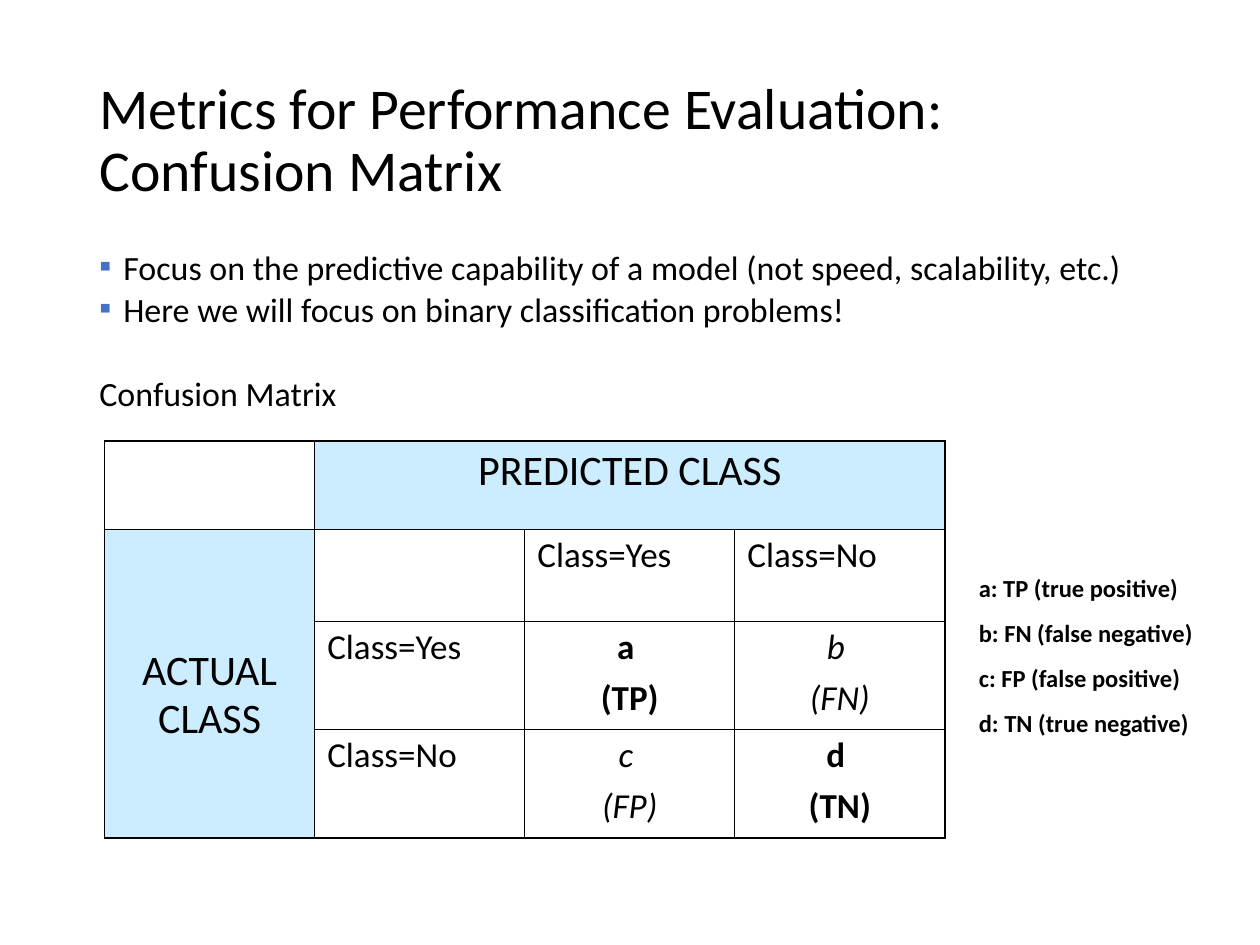
from dataclasses import dataclass

from lxml.etree import SubElement
from pptx import Presentation
from pptx.dml.color import RGBColor
from pptx.enum.text import MSO_ANCHOR, PP_ALIGN
from pptx.oxml.ns import qn
from pptx.util import Inches, Pt


@dataclass(frozen=True)
class Theme:
    font: str = "Calibri"
    text: str = "000000"
    bullet: str = "4472C4"
    header_fill: str = "CCECFF"
    title: float = 33
    body: float = 19.4
    header: float = 24
    cell: float = 20
    legend: float = 14
    thin: float = 0.45
    thick: float = 1.08


class SlideBuilder:
    def __init__(self, slide, theme):
        self.s = slide
        self.theme = theme

    def style(self, p, size, bold=False, italic=False):
        for r in p.runs:
            r.font.name = self.theme.font
            r.font.size = Pt(size)
            r.font.bold = bold
            r.font.italic = italic
            r.font.color.rgb = RGBColor.from_string(self.theme.text)

    def text(self, box, lines, size, spacing=1.0, before=0, bold=False,
             anchor=MSO_ANCHOR.TOP):
        tf = self.s.shapes.add_textbox(*map(Inches, box)).text_frame
        tf.word_wrap = True
        tf.vertical_anchor = anchor
        tf.text = "\n".join(lines)
        for i, p in enumerate(tf.paragraphs):
            p.line_spacing = spacing
            p.space_before = Pt(before if i else 0)
            self.style(p, size, bold)
        return tf

    def bullet(self, p, indent=0.19):
        pPr = p._p.get_or_add_pPr()
        pPr.set("marL", str(Inches(indent)))
        pPr.set("indent", str(-Inches(indent)))
        color = SubElement(pPr, qn("a:buClr"))
        SubElement(color, qn("a:srgbClr"), val=self.theme.bullet)
        SubElement(pPr, qn("a:buFont"), typeface=self.theme.font)
        SubElement(pPr, qn("a:buChar"), char="▪")

    def table(self, box, rows, cols, heights):
        shape = self.s.shapes.add_table(rows, cols, *map(Inches, box))
        table = shape.table
        table.first_row = table.horz_banding = False
        for row, height in zip(table.rows, heights):
            row.height = Inches(height)
        return table

    def cell(self, cell, text, size, before=2.5, center=False, bold=False, italic=False):
        cell.text = text
        for i, p in enumerate(cell.text_frame.paragraphs):
            p.alignment = PP_ALIGN.CENTER if center else PP_ALIGN.LEFT
            p.line_spacing = 0.93
            p.space_before = Pt(before if i else 0)
            p.space_after = Pt(4)
            self.style(p, size, bold, italic)

    def fill(self, cell, color):
        cell.fill.solid()
        cell.fill.fore_color.rgb = RGBColor.from_string(color)

    def borders(self, table):
        """Thick lines around the table, thin lines inside it."""
        n_rows, n_cols = len(table.rows), len(table.columns)
        for i in range(n_rows):
            for j in range(n_cols):
                cell = table.cell(i, j)
                right = j + (cell.span_width if cell.is_merge_origin else 1)
                bottom = i + (cell.span_height if cell.is_merge_origin else 1)
                outer = {"L": j == 0, "R": right == n_cols,
                         "T": i == 0, "B": bottom == n_rows}
                tcPr = cell._tc.get_or_add_tcPr()
                for k, (side, is_outer) in enumerate(outer.items()):
                    width = self.theme.thick if is_outer else self.theme.thin
                    ln = SubElement(tcPr, qn(f"a:ln{side}"), w=str(Pt(width)))
                    solid = SubElement(ln, qn("a:solidFill"))
                    SubElement(solid, qn("a:srgbClr"), val=self.theme.text)
                    tcPr.insert(k, ln)


def main():
    prs = Presentation()
    prs.slide_width, prs.slide_height = Inches(10), Inches(7.5)
    theme = Theme()
    b = SlideBuilder(prs.slides.add_slide(prs.slide_layouts[6]), theme)

    # Title
    b.text((0.69, 0.4, 8.62, 1.45),
           ["Metrics for Performance Evaluation: Confusion Matrix"],
           theme.title, spacing=0.9, anchor=MSO_ANCHOR.MIDDLE)

    # Bullets and table heading
    tf = b.text((0.69, 2, 8.62, 1.4), [
        "Focus on the predictive capability of a model (not speed, scalability, etc.)",
        "Here we will focus on binary classification problems!",
        "Confusion Matrix",
    ], theme.body, spacing=0.7, before=7.5)
    *points, heading = tf.paragraphs
    for p in points:
        b.bullet(p)
    heading.space_before = Pt(31.6)

    # Confusion matrix
    table = b.table((0.83, 3.5, 6.67, 3.14), 4, 4, (0.7, 0.73, 0.86, 0.86))
    for i in range(4):
        for j in range(4):
            table.cell(i, j).fill.background()

    predicted, actual = table.cell(0, 1), table.cell(1, 0)
    predicted.merge(table.cell(0, 3))
    actual.merge(table.cell(3, 0))
    for cell, text in ((predicted, "PREDICTED CLASS"), (actual, "ACTUAL\vCLASS")):
        b.cell(cell, text, theme.header, center=True)
        b.fill(cell, theme.header_fill)
    actual.margin_top = Inches(0.94)

    for k, label in enumerate(("Class=Yes", "Class=No"), start=2):
        b.cell(table.cell(1, k), label, theme.cell)
        b.cell(table.cell(k, 1), label, theme.cell)

    outcomes = (("a \n(TP)", "b \n(FN)"), ("c \n(FP)", "d \n(TN)"))
    for i, row in enumerate(outcomes):
        for j, text in enumerate(row):
            correct = i == j
            b.cell(table.cell(i + 2, j + 2), text, theme.cell, center=True,
                   bold=correct, italic=not correct)
    b.borders(table)

    # Legend
    b.text((7.67, 4.5, 2.42, 1.42), [
        "a: TP (true positive)",
        "b: FN (false negative)",
        "c: FP (false positive)",
        "d: TN (true negative)",
    ], theme.legend, before=8.8, bold=True)

    prs.save("out.pptx")


if __name__ == "__main__":
    main()
